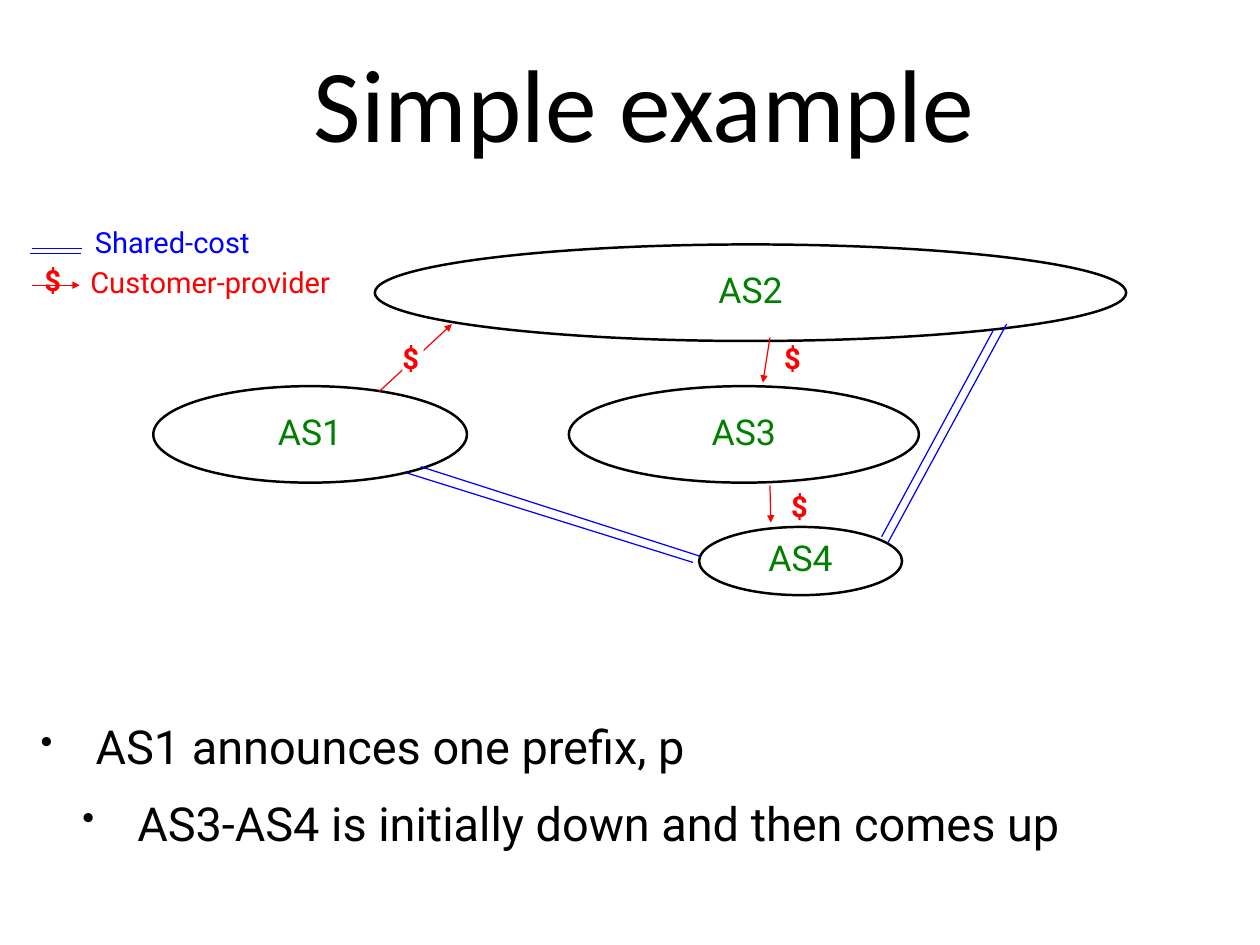
from lxml import etree
from pptx import Presentation
from pptx.dml.color import RGBColor
from pptx.enum.shapes import MSO_CONNECTOR, MSO_SHAPE
from pptx.enum.text import MSO_ANCHOR, PP_ALIGN
from pptx.oxml.ns import qn
from pptx.util import Inches, Pt

BLACK = RGBColor(0, 0, 0)
WHITE = RGBColor(255, 255, 255)
RED = RGBColor(255, 0, 0)
BLUE = RGBColor(0, 0, 255)
GREEN = RGBColor(0, 128, 0)

LEFT, CENTER = PP_ALIGN.LEFT, PP_ALIGN.CENTER
MIDDLE = MSO_ANCHOR.MIDDLE
OVAL = MSO_SHAPE.OVAL
STRAIGHT = MSO_CONNECTOR.STRAIGHT

SMALL = 23.6


def write(shape, rows, size, color, font="Roboto", bold=False, align=LEFT,
          inset=0, wrap=True, gap=0, marks=()):
    """Fill a shape with paragraphs; marks holds the bullet indent of each."""
    frame = shape.text_frame
    frame.word_wrap = wrap
    frame.vertical_anchor = MIDDLE
    frame.margin_left = frame.margin_right = Inches(inset)
    frame.margin_top = frame.margin_bottom = Inches(inset)
    for i, row in enumerate(rows):
        para = frame.add_paragraph() if i else frame.paragraphs[0]
        para.text = row
        para.alignment = align
        para.line_spacing = 0.84
        if i:
            para.space_before = Pt(gap)
        if marks:
            para.level = i
            props = para._p.get_or_add_pPr()
            props.set("marL", str(Inches(marks[i])))
            props.set("indent", str(Inches(-0.62)))
            etree.SubElement(props, qn("a:buSzPct")).set("val", "75000")
            etree.SubElement(props, qn("a:buChar")).set("char", "•")
        para.font.name = font
        para.font.size = Pt(size)
        para.font.bold = bold
        para.font.color.rgb = color


def text(slide, box, rows, size, color, fill=None, **style):
    shape = slide.shapes.add_textbox(*map(Inches, box))
    if fill is not None:
        shape.fill.solid()
        shape.fill.fore_color.rgb = fill
    write(shape, rows, size, color, **style)


def line(slide, start, end, color, arrow=False):
    link = slide.shapes.add_connector(STRAIGHT, *map(Inches, start + end))
    link.line.color.rgb = color
    link.line.width = Pt(1)
    if arrow:
        tail = etree.SubElement(link.line._get_or_add_ln(), qn("a:tailEnd"))
        tail.set("type", "triangle")
    etree.SubElement(link._element.spPr, qn("a:effectLst"))


def dollar(slide, x, y, fill=None):
    text(slide, (x, y, 0.24, 0.38), ["$"], SMALL, RED, fill=fill,
         bold=True, wrap=False)


def node(slide, box, name):
    oval = slide.shapes.add_shape(OVAL, *map(Inches, box))
    oval.shadow.inherit = False
    oval.fill.background()
    oval.line.color.rgb = BLACK
    oval.line.width = Pt(2)
    write(oval, [name], 28.9, GREEN, align=CENTER)


def title(slide, box):
    text(slide, box, ["Simple example"], 84, BLACK, font="Calibri",
         align=CENTER, inset=0.06)


def legend(slide, x, y):
    text(slide, (x + 0.73, y, 1.79, 0.34), ["Shared-cost"], SMALL, BLUE,
         wrap=False)
    for dx, dy in ((0.02, 0.22), (0, 0.27)):
        line(slide, (x + dx, y + dy), (x + dx + 0.57, y + dy), BLUE)
    dollar(slide, x + 0.16, y + 0.41)
    line(slide, (x + 0.02, y + 0.63), (x + 0.56, y + 0.63), RED, arrow=True)
    text(slide, (x + 0.68, y + 0.46, 2.74, 0.34), ["Customer-provider"],
         SMALL, RED, wrap=False)


def graph(slide, x, y):
    """Draw the four networks and their links from the corner x, y."""
    nodes = (
        ("AS1", 0, 1.6, 3.54, 1.09),
        ("AS2", 2.5, 0, 8.48, 1.09),
        ("AS3", 4.69, 1.6, 3.95, 1.09),
        ("AS4", 6.16, 3.19, 2.29, 0.77),
    )
    for name, dx, dy, wide, high in nodes:
        node(slide, (x + dx, y + dy, wide, high), name)

    paid = (
        ((2.55, 1.66), (3.37, 0.9), (2.81, 1.12), WHITE),
        ((6.96, 1.05), (6.88, 1.56), (7.12, 1.12), None),
        ((6.96, 2.72), (6.97, 3.14), (7.2, 2.79), None),
    )
    for start, end, sign, fill in paid:
        line(slide, (x + start[0], y + start[1]),
             (x + end[0], y + end[1]), RED, arrow=True)
        dollar(slide, x + sign[0], y + sign[1], fill)

    shared = (
        ((2.86, 2.58), (6.09, 3.59)),
        ((3.02, 2.51), (6.17, 3.52)),
        ((9.48, 0.97), (8.22, 3.3)),
        ((9.63, 0.9), (8.29, 3.37)),
    )
    for start, end in shared:
        line(slide, (x + start[0], y + start[1]),
             (x + end[0], y + end[1]), BLUE)


def notes(slide, box):
    rows = ["AS1 announces one prefix, p",
            "AS3-AS4 is initially down and then comes up"]
    text(slide, box, rows, 38.1, BLACK, inset=0.06, gap=24,
         marks=(0.68, 1.15))


def main():
    deck = Presentation()
    deck.slide_width = Inches(14.22)
    deck.slide_height = Inches(10.67)
    slide = deck.slides.add_slide(deck.slide_layouts[6])
    title(slide, (2.47, 0.35, 9.6, 1.82))
    notes(slide, (0.34, 6.42, 13.36, 4.97))
    legend(slide, 0.34, 2.59)
    graph(slide, 1.73, 2.76)
    deck.save("out.pptx")


if __name__ == "__main__":
    main()
